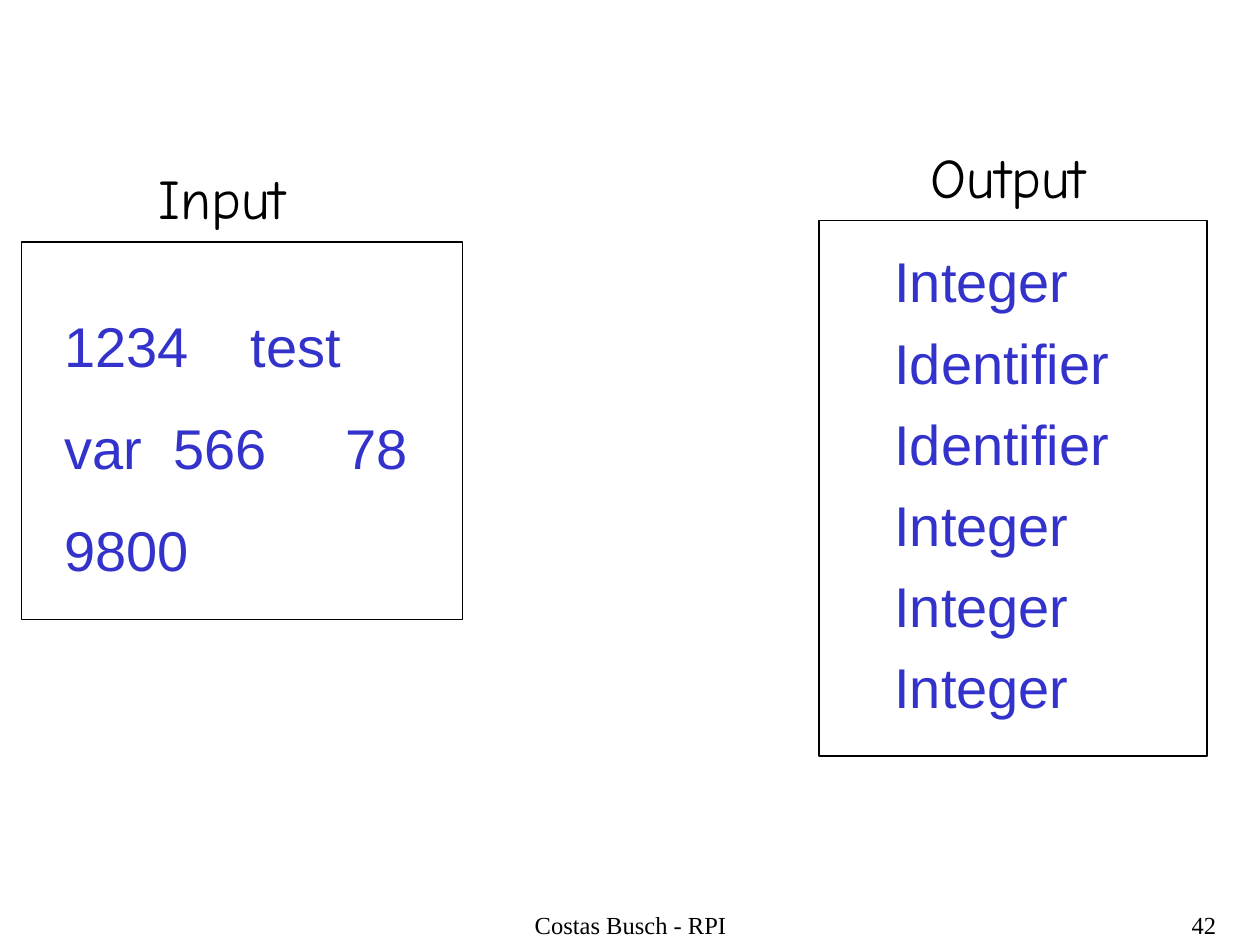
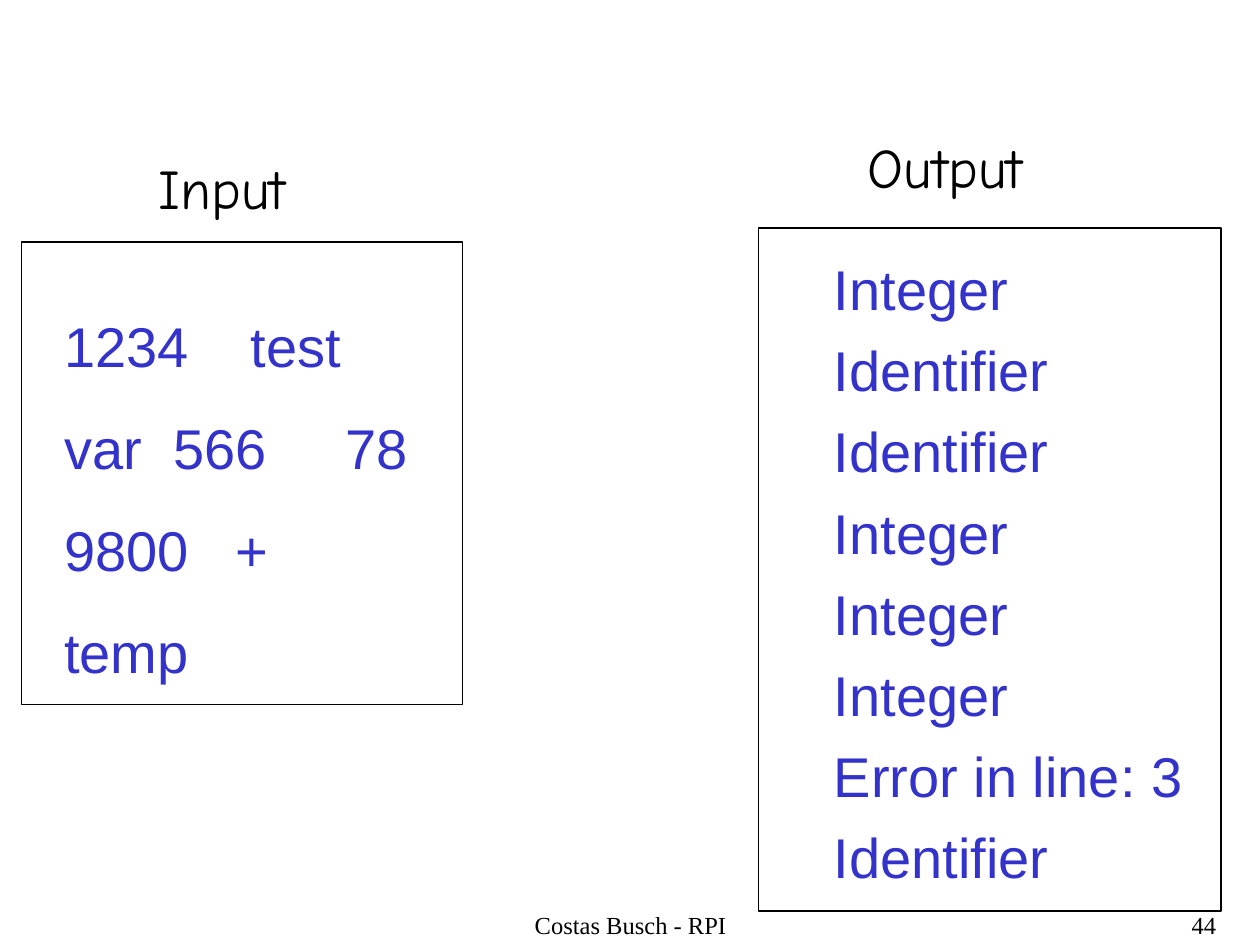
from pptx import Presentation
from pptx.dml.color import RGBColor
from pptx.enum.shapes import MSO_SHAPE
from pptx.enum.text import PP_ALIGN
from pptx.oxml.ns import qn
from pptx.util import Inches, Pt
from lxml.etree import SubElement

BLACK, BLUE = "000000", "3333CC"
HEAD = dict(font="Comic Neue", size=32, before=8)
BODY = dict(font="Arial", size=32, color=BLUE)
FOOT = dict(font="Times New Roman", size=14, wrap=True)


def paint(value):
    return RGBColor.from_string(value)


def place(box):
    return [Inches(n) for n in box]


def add_tabs(para, stops):
    tabs = SubElement(para._p.get_or_add_pPr(), qn("a:tabLst"))
    for stop in stops:
        SubElement(tabs, qn("a:tab"), pos=str(Inches(stop)), algn="l")


def add_text(slide, box, lines, font="Arial", size=32, color=BLACK,
             align=PP_ALIGN.LEFT, before=0, wrap=False, tabs=()):
    frame = slide.shapes.add_textbox(*place(box)).text_frame
    frame.word_wrap = wrap
    for i, line in enumerate(lines):
        para = frame.add_paragraph() if i else frame.paragraphs[0]
        para.alignment = align
        para.space_before = Pt(before)
        if i < len(tabs):
            add_tabs(para, tabs[i])
        run = para.add_run()
        run.text = line
        run.font.name = font
        run.font.size = Pt(size)
        run.font.color.rgb = paint(color)


def add_frame(slide, box):
    shape = slide.shapes.add_shape(MSO_SHAPE.RECTANGLE, *place(box))
    shape.shadow.inherit = False
    shape.fill.background()
    shape.line.color.rgb = paint(BLACK)
    shape.line.width = Pt(0.74)


def add_footer(slide, number):
    add_text(slide, (3.42, 7.17, 3.17, 0.33), ["Costas Busch - RPI"],
             align=PP_ALIGN.CENTER, **FOOT)
    add_text(slide, (7.67, 7.17, 2.08, 0.33), [str(number)],
             align=PP_ALIGN.RIGHT, **FOOT)


def add_input(slide, top, height, lines, tabs):
    add_text(slide, (0.41, 2.42, 2.95, 0.81 * len(lines) - 0.17), lines,
             before=20, tabs=tabs, **BODY)
    add_frame(slide, (0.17, 1.92, 3.5, height))
    add_text(slide, (1.16, top, 1.21, 0.64), ["Input"], **HEAD)


def add_output(slide, frame, head, width, lines):
    left, top = frame[:2]
    add_frame(slide, frame)
    add_text(slide, (*head, 1.43, 0.64), ["Output"], **HEAD)
    add_text(slide, (left + 0.5, top + 0.16, width, 0.64 * len(lines)), lines,
             before=8, **BODY)


def main():
    deck = Presentation()
    deck.slide_width, deck.slide_height = Inches(10), Inches(7.5)
    source = ["1234\ttest", "var\t566\t78"]
    stops = [(1.48,), (0.87, 2.23), (1.36,)]
    tokens = ["Integer"] + ["Identifier"] * 2 + ["Integer"] * 3
    pages = [
        (42, (1.25, 3, source + ["9800"], stops[:2]),
         ((6.5, 1.75, 3.08, 4.25), (7.29, 1.08), 1.95, tokens)),
        (44, (1.17, 3.67, source + ["9800\t+", "temp"], stops),
         ((6.02, 1.81, 3.67, 5.42), (6.79, 1), 3,
          tokens + ["Error in line: 3", "Identifier"])),
    ]
    for number, left, right in pages:
        slide = deck.slides.add_slide(deck.slide_layouts[6])
        add_footer(slide, number)
        add_input(slide, *left)
        add_output(slide, *right)
    deck.save("out.pptx")


main()
